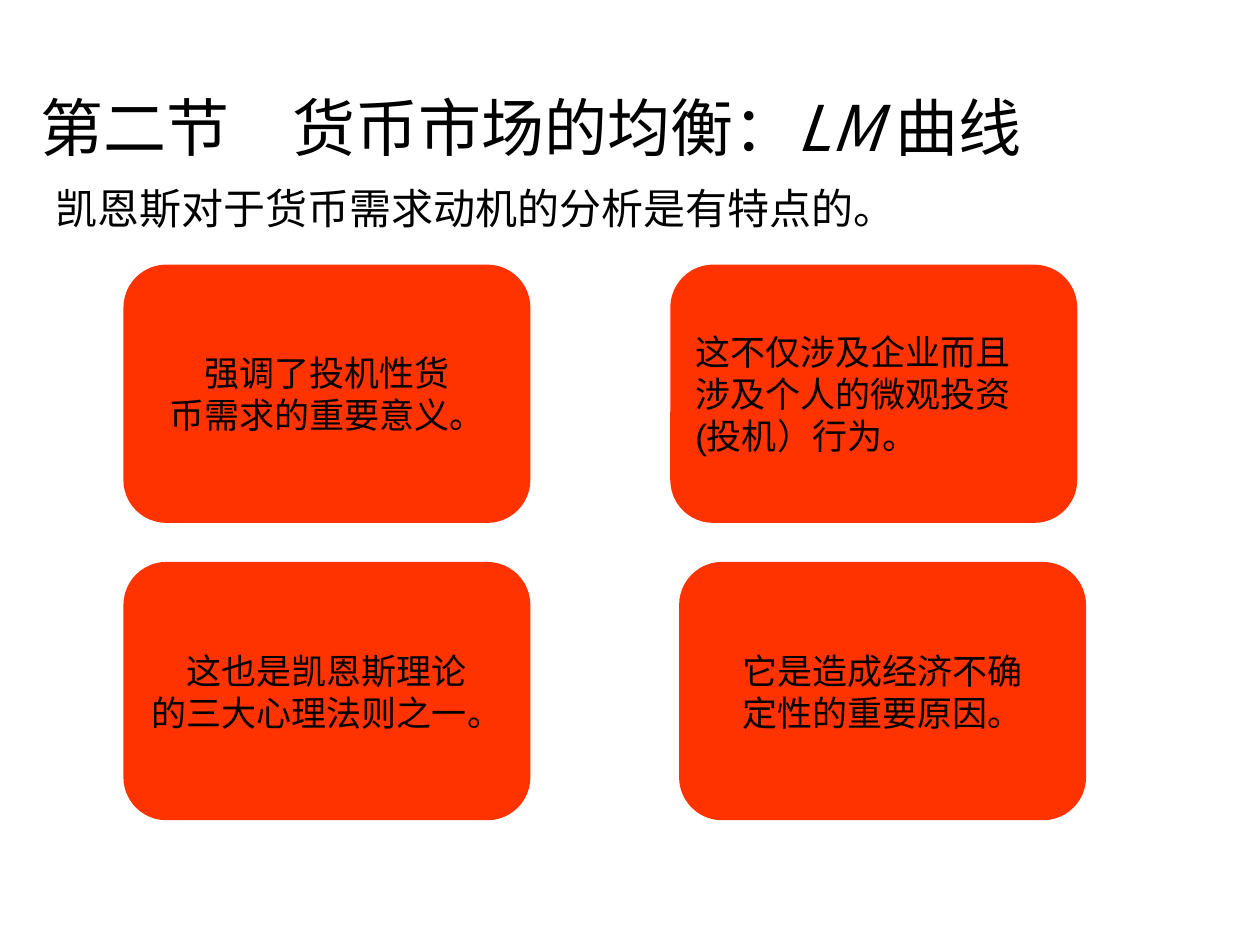
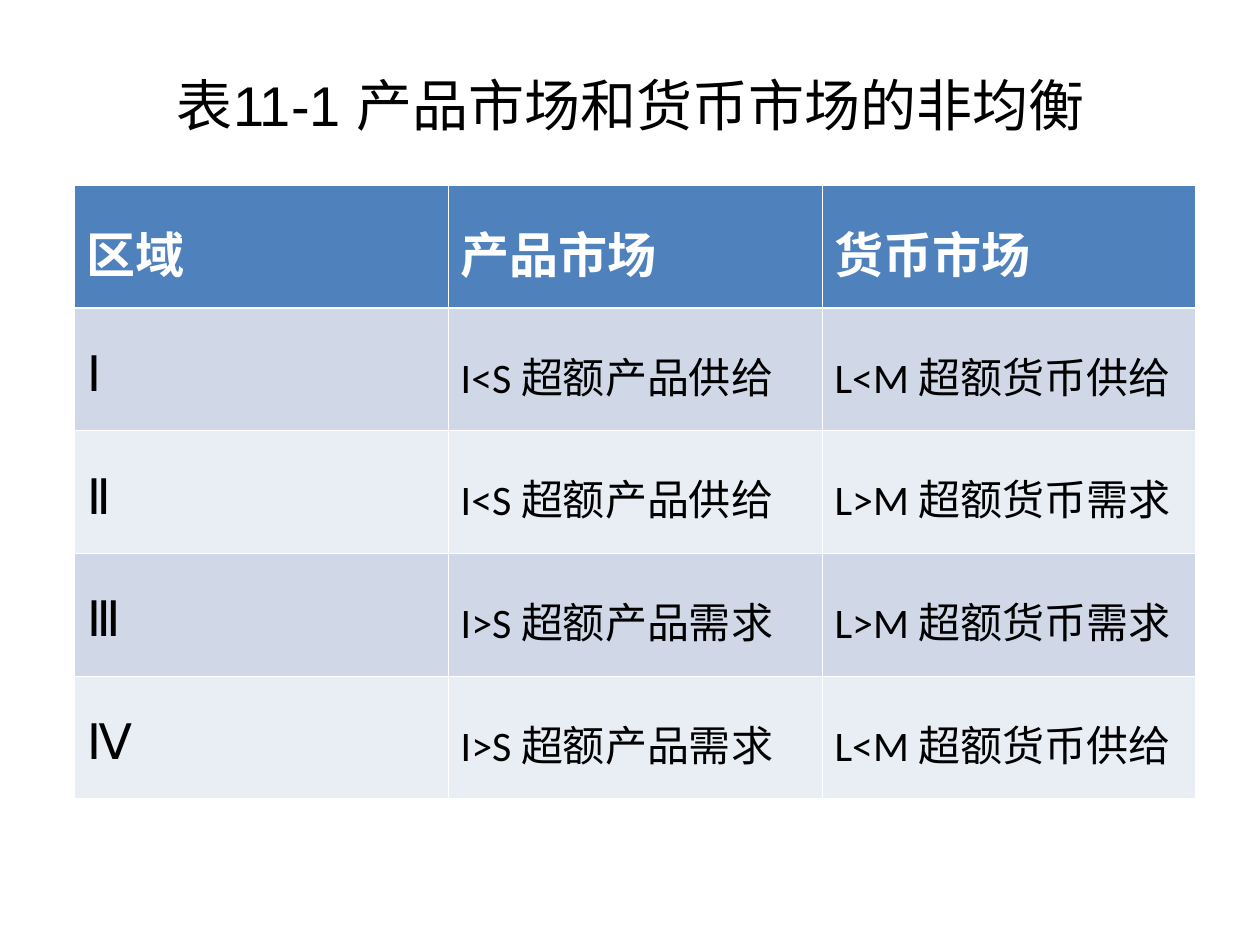
from pptx import Presentation
from pptx.dml.color import RGBColor
from pptx.enum.shapes import MSO_SHAPE
from pptx.enum.text import MSO_ANCHOR, MSO_AUTO_SIZE, PP_ALIGN
from pptx.oxml.ns import qn
from pptx.util import Inches, Pt
from lxml import etree

WIDTH, HEIGHT = Inches(10), Inches(7.5)
COLUMN, ROW = WIDTH / 100, HEIGHT / 75

BLACK = RGBColor(0x00, 0x00, 0x00)
WHITE = RGBColor(0xFF, 0xFF, 0xFF)
RED = RGBColor(0xFF, 0x33, 0x00)
HEADER_BLUE = RGBColor(0x4F, 0x81, 0xBD)
BAND_FILLS = RGBColor(0xD0, 0xD8, 0xE8), RGBColor(0xE9, 0xED, 0xF4)

CHINESE, SANS, TABLE_FONT = "Noto Sans CJK SC", "Arial", "Calibri"
LEFT, CENTER = PP_ALIGN.LEFT, PP_ALIGN.CENTER
MIDDLE = MSO_ANCHOR.MIDDLE
ROUNDED = MSO_SHAPE.ROUNDED_RECTANGLE
NO_AUTOFIT = MSO_AUTO_SIZE.NONE
TITLE_ONLY, TITLE_AND_BODY = 5, 1

MOTIVE_BOXES = [
    (9.8, 21, CENTER, ["强调了投机性货", "币需求的重要意义。"]),
    (53.2, 21, LEFT, ["这不仅涉及企业而且", "涉及个人的微观投资", "(投机）行为。"]),
    (9.8, 44.6, CENTER, ["这也是凯恩斯理论", "的三大心理法则之一。"]),
    (53.9, 44.6, CENTER, ["它是造成经济不确", "定性的重要原因。"]),
]
MARKET_ROWS = [
    ("区域", "产品市场", "货币市场"),
    ("Ⅰ", "I<S 超额产品供给", "L<M 超额货币供给"),
    ("Ⅱ", "I<S 超额产品供给", "L>M 超额货币需求"),
    ("Ⅲ", "I>S 超额产品需求", "L>M 超额货币需求"),
    ("Ⅳ", "I>S 超额产品需求", "L<M 超额货币供给"),
]


def grid(left, top, width, height):
    """Turn grid columns and rows into slide lengths."""
    return int(left * COLUMN), int(top * ROW), int(width * COLUMN), int(height * ROW)


def add_span(para, text, size, font=SANS, color=BLACK, bold=False, italic=False):
    """Add one formatted run to a paragraph."""
    span = para.add_run()
    span.text = text
    span.font.size, span.font.name = Pt(size), font
    span.font.bold, span.font.italic = bold, italic
    span.font.color.rgb = color
    east_asian = etree.Element(qn("a:ea"), typeface=CHINESE)
    span.font._element.find(qn("a:latin")).addnext(east_asian)


def prepare_placeholder(box, area, align):
    """Move a placeholder and return its first paragraph, unbulleted."""
    box.left, box.top, box.width, box.height = grid(*area)
    frame = box.text_frame
    frame.word_wrap, frame.auto_size = True, NO_AUTOFIT
    frame.vertical_anchor = MIDDLE
    para = frame.paragraphs[0]
    para.alignment, para.space_before = align, Pt(0)
    properties = para._p.get_or_add_pPr()
    properties.set("marL", "0")
    properties.set("indent", "0")
    etree.SubElement(properties, qn("a:buNone"))
    return para


def add_tab_stop(para, position):
    """Add a left tab stop to a paragraph."""
    stops = etree.SubElement(para._p.get_or_add_pPr(), qn("a:tabLst"))
    etree.SubElement(stops, qn("a:tab"), pos=str(int(position)), algn="l")


def add_motive_box(page, left, top, align, lines):
    """Add a red rounded box with its lines of text."""
    box = page.shapes.add_shape(ROUNDED, *grid(left, top, 32.3, 20.5))
    box.shadow.inherit = False
    box.fill.solid()
    box.fill.fore_color.rgb = RED
    box.line.fill.background()
    frame = box.text_frame
    frame.word_wrap, frame.vertical_anchor = True, MIDDLE
    for index, line in enumerate(lines):
        para = frame.add_paragraph() if index else frame.paragraphs[0]
        para.alignment = align
        add_span(para, line, 20)


def set_borders(cell, top, bottom):
    """Draw white borders, with top and bottom widths in points."""
    properties = cell._tc.get_or_add_tcPr()
    widths = {"a:lnL": 0.45, "a:lnR": 0.45, "a:lnT": top, "a:lnB": bottom}
    for position, (side, width) in enumerate(widths.items()):
        border = etree.Element(qn(side), w=str(Pt(width)))
        fill = etree.SubElement(border, qn("a:solidFill"))
        etree.SubElement(fill, qn("a:srgbClr"), val=str(WHITE))
        properties.insert(position, border)


def add_market_table(page, rows, area):
    """Add the banded table of market regions."""
    table = page.shapes.add_table(len(rows), len(rows[0]), *grid(*area)).table
    table.horz_banding = False
    for row, texts in enumerate(rows):
        header = row == 0
        for column, text in enumerate(texts):
            cell = table.cell(row, column)
            cell.vertical_anchor, cell.margin_top = MIDDLE, Inches(0.14)
            cell.fill.solid()
            cell.fill.fore_color.rgb = HEADER_BLUE if header else BAND_FILLS[(row - 1) % 2]
            set_borders(cell, 1.47 if row == 1 else 0.45, 1.47 if header else 0.45)
            add_span(cell.text_frame.paragraphs[0], text,
                     28 if header or column == 0 else 24, TABLE_FONT,
                     WHITE if header else BLACK, bold=header)


def build_motives_page(deck):
    """Build the page on the motives for holding money."""
    page = deck.slides.add_slide(deck.slide_layouts[TITLE_AND_BODY])
    title = prepare_placeholder(page.shapes.title, (2.2, 5, 95, 10), LEFT)
    add_tab_stop(title, 17.3 * COLUMN)
    add_span(title, "第二节\t货币市场的均衡：", 36, CHINESE)
    add_span(title, "LM ", 36, CHINESE, italic=True)
    add_span(title, "曲线", 36, CHINESE)
    lead = prepare_placeholder(page.placeholders[1], (3.4, 13.5, 90, 6), LEFT)
    add_span(lead, "凯恩斯对于货币需求动机的分析是有特点的。", 24)
    for motive in MOTIVE_BOXES:
        add_motive_box(page, *motive)


def build_markets_page(deck):
    """Build the page with the table of disequilibrium."""
    page = deck.slides.add_slide(deck.slide_layouts[TITLE_ONLY])
    title = prepare_placeholder(page.shapes.title, (5.1, 3.6, 90, 9.4), CENTER)
    add_span(title, "表11-1 产品市场和货币市场的非均衡", 32)
    add_market_table(page, MARKET_ROWS, (5.9, 14.7, 89, 48.7))


def main():
    """Build and save the deck."""
    deck = Presentation()
    deck.slide_width, deck.slide_height = WIDTH, HEIGHT
    build_motives_page(deck)
    build_markets_page(deck)
    deck.save("out.pptx")


if __name__ == "__main__":
    main()
